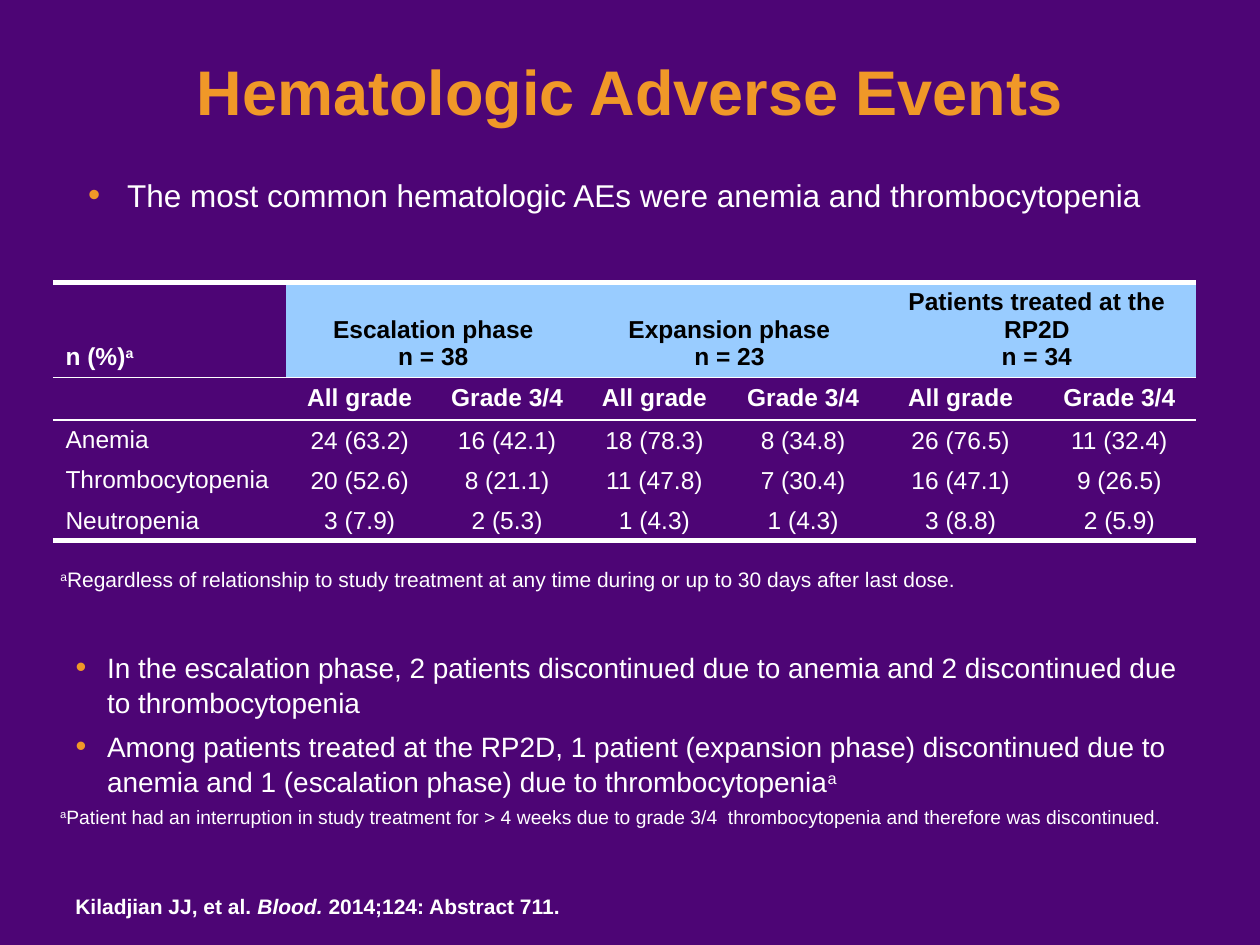
from lxml.etree import SubElement
from pptx import Presentation
from pptx.dml.color import RGBColor
from pptx.enum.text import MSO_ANCHOR as Anchor, MSO_AUTO_SIZE as AutoSize, PP_ALIGN as Align
from pptx.oxml.ns import qn
from pptx.util import Inches, Pt

COLORS = {"purple": "4D0575", "orange": "F09828", "white": "FFFFFF", "black": "000000", "blue": "99CCFF"}
NO_GRID_STYLE = "{2D5ABB26-0587-4C30-8999-92F81FD0307C}"
COLUMN_WIDTHS = [1.85, 1.17, 1.17, 1.17, 1.19, 1.31, 1.21]
ROW_HEIGHTS = [0.74, 0.32, 0.32, 0.32, 0.32]
PHASES = [
    ("Escalation phase", "n = 38"),
    ("Expansion phase", "n = 23"),
    ("Patients treated at the RP2D", "n = 34"),
]
EVENTS = [
    ("Anemia", "24 (63.2)", "16 (42.1)", "18 (78.3)", "8 (34.8)", "26 (76.5)", "11 (32.4)"),
    ("Thrombocytopenia", "20 (52.6)", "8 (21.1)", "11 (47.8)", "7 (30.4)", "16 (47.1)", "9 (26.5)"),
    ("Neutropenia", "3 (7.9)", "2 (5.3)", "1 (4.3)", "1 (4.3)", "3 (8.8)", "2 (5.9)"),
]


def color(name):
    """Return the named colour."""
    return RGBColor.from_string(COLORS[name])


def add_run(paragraph, text, size=14, fill="white", bold=False, italic=False, superscript=False):
    """Append formatted text to a paragraph."""
    run = paragraph.add_run()
    run.text = text
    run.font.name = "Arial"
    run.font.size = Pt(size)
    run.font.bold = bold
    run.font.italic = italic
    run.font.color.rgb = color(fill)
    if superscript:
        run._r.get_or_add_rPr().set("baseline", "30000")


def add_bullet(paragraph, indent):
    """Give a paragraph an orange bullet with a hanging indent."""
    properties = paragraph._p.get_or_add_pPr()
    properties.set("marL", str(Inches(indent)))
    properties.set("indent", str(-Inches(indent)))
    bullet_color = SubElement(properties, qn("a:buClr"))
    SubElement(bullet_color, qn("a:srgbClr"), val=COLORS["orange"])
    SubElement(properties, qn("a:buSzPct"), val="110000")
    SubElement(properties, qn("a:buFont"), typeface="Arial")
    SubElement(properties, qn("a:buChar"), char="•")
    paragraph.line_spacing = 1.05


def place(shape, left, top, width, height):
    """Set the position and size of a placeholder."""
    shape.left, shape.top = Inches(left), Inches(top)
    shape.width, shape.height = Inches(width), Inches(height)
    shape.text_frame.auto_size = AutoSize.NONE


def add_title(slide):
    """Fill the title placeholder."""
    title = slide.shapes.title
    place(title, 0, 0.24, 10, 0.83)
    title.text_frame.vertical_anchor = Anchor.BOTTOM
    paragraph = title.text_frame.paragraphs[0]
    paragraph.alignment = Align.CENTER
    add_run(paragraph, "Hematologic Adverse Events", size=36, fill="orange", bold=True)


def add_list(placeholder, box, items, size, indent):
    """Fill a body placeholder with bulleted items."""
    place(placeholder, *box)
    frame = placeholder.text_frame
    for index, item in enumerate(items):
        paragraph = frame.add_paragraph() if index else frame.paragraphs[0]
        add_bullet(paragraph, indent)
        paragraph.space_before = Pt(size * 0.2 if index else 0)
        paragraph.space_after = Pt(size * 0.1)
        for text, style in item:
            add_run(paragraph, text, size=size, **style)


def add_line(slide, box, runs, size, wrap=True, bold=False):
    """Add a text box holding one paragraph."""
    text_box = slide.shapes.add_textbox(*map(Inches, box))
    text_box.text_frame.word_wrap = wrap
    for text, style in runs:
        add_run(text_box.text_frame.paragraphs[0], text, size=size, bold=bold, **style)


def set_border(cell, side, width):
    """Draw a white line on the top (T) or bottom (B) of a cell."""
    line = SubElement(cell._tc.get_or_add_tcPr(), qn(f"a:ln{side}"), w=str(Pt(width)))
    fill = SubElement(line, qn("a:solidFill"))
    SubElement(fill, qn("a:srgbClr"), val=COLORS["white"])


def fill_cell(cell, lines, alignment=Align.CENTER, anchor=Anchor.TOP, **style):
    """Write lines of text into a cell."""
    cell.vertical_anchor = anchor
    for index, text in enumerate(lines):
        frame = cell.text_frame
        paragraph = frame.add_paragraph() if index else frame.paragraphs[0]
        paragraph.alignment = alignment
        add_run(paragraph, text, **style)


def add_events_table(slide):
    """Add the table of adverse events by phase and grade."""
    frame = slide.shapes.add_table(
        len(ROW_HEIGHTS), len(COLUMN_WIDTHS), Inches(0.42), Inches(2.24),
        Inches(sum(COLUMN_WIDTHS)), Inches(sum(ROW_HEIGHTS)))
    table = frame.table
    table.first_row = table.horz_banding = False
    table._tbl.tblPr.find(qn("a:tableStyleId")).text = NO_GRID_STYLE
    for column, width in zip(table.columns, COLUMN_WIDTHS):
        column.width = Inches(width)
    for row, height in zip(table.rows, ROW_HEIGHTS):
        row.height = Inches(height)

    borders = {0: [("T", 3), ("B", 1)], 1: [("T", 1)], len(ROW_HEIGHTS) - 1: [("B", 3)]}
    for row_index, row in enumerate(table.rows):
        for cell in row.cells:
            for side, width in borders.get(row_index, []):
                set_border(cell, side, width)
            cell.fill.background()

    corner = table.cell(0, 0)
    fill_cell(corner, ["n (%)"], Align.LEFT, Anchor.BOTTOM, bold=True)
    add_run(corner.text_frame.paragraphs[0], "a", bold=True, superscript=True)
    SubElement(table.cell(1, 0).text_frame.paragraphs[0]._p, qn("a:endParaRPr"), sz="1400")
    for index, phase in enumerate(PHASES):
        first = 1 + 2 * index
        header = table.cell(0, first)
        header.merge(table.cell(0, first + 1))
        header.fill.solid()
        header.fill.fore_color.rgb = color("blue")
        fill_cell(header, phase, anchor=Anchor.BOTTOM, fill="black", bold=True)
        for offset, grade in enumerate(("All grade", "Grade 3/4")):
            fill_cell(table.cell(1, first + offset), [grade], bold=True)

    for row_index, (event, *counts) in enumerate(EVENTS, start=2):
        fill_cell(table.cell(row_index, 0), [event], Align.LEFT)
        for column_index, count in enumerate(counts, start=1):
            cell = table.cell(row_index, column_index)
            cell.margin_left = cell.margin_right = cell.margin_top = Inches(0.01)
            cell.margin_bottom = 0
            fill_cell(cell, [count], anchor=Anchor.MIDDLE)


def main():
    """Build and save the slide."""
    presentation = Presentation()
    presentation.slide_width, presentation.slide_height = Inches(10), Inches(7.5)
    slide = presentation.slides.add_slide(presentation.slide_layouts[3])
    slide.background.fill.solid()
    slide.background.fill.fore_color.rgb = color("purple")
    note_mark = ("a", {"superscript": True})

    add_title(slide)
    add_list(slide.placeholders[1], (0.6, 1.33, 9.06, 0.42), [
        [("The most common hematologic AEs were anemia and thrombocytopenia", {})],
    ], size=18, indent=0.31)
    add_events_table(slide)
    add_line(slide, (0.38, 4.45, 9.08, 0.3), [
        note_mark,
        ("Regardless of relationship to study treatment at any time during or up to 30 days after last dose.", {}),
    ], size=12)
    add_list(slide.placeholders[2], (0.5, 5.1, 9.18, 1.41), [
        [("In the escalation phase, 2 patients discontinued due to anemia and 2 discontinued due "
          "to thrombocytopenia", {})],
        [("Among patients treated at the RP2D, 1 patient (expansion phase) discontinued due to "
          "anemia and 1 (escalation phase) due to thrombocytopenia", {}), note_mark],
    ], size=16, indent=0.25)
    add_line(slide, (0.38, 6.34, 9.06, 0.29), [
        note_mark,
        ("Patient had an interruption in study treatment for > 4 weeks due to grade 3/4  thrombocytopenia "
         "and therefore was discontinued.", {}),
    ], size=11)
    add_line(slide, (0.5, 7.04, 4.13, 0.3), [
        ("Kiladjian JJ, et al. ", {}),
        ("Blood. ", {"italic": True}),
        ("2014;124: Abstract 711.", {}),
    ], size=12, wrap=False, bold=True)
    presentation.save("out.pptx")


if __name__ == "__main__":
    main()
